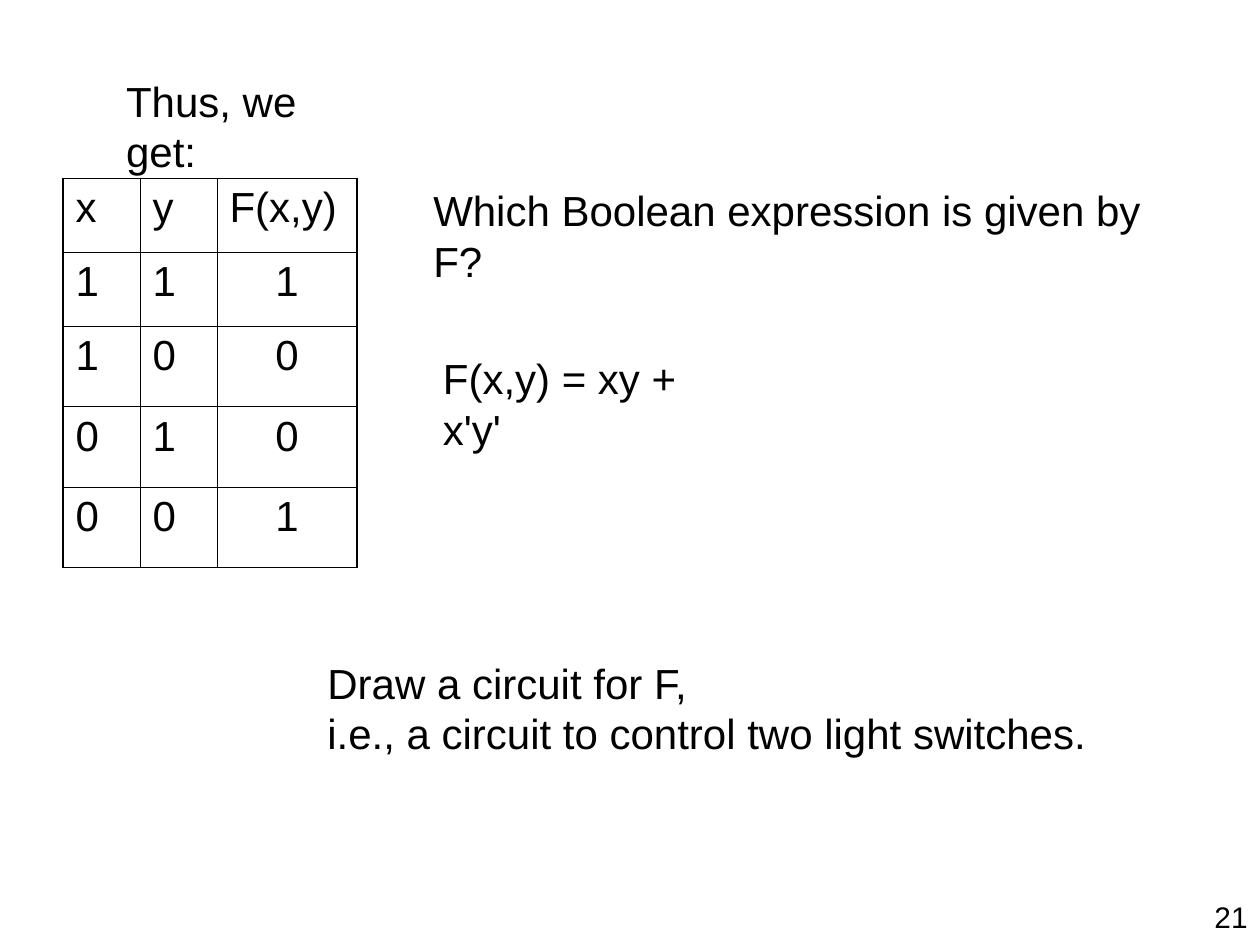
from lxml.etree import SubElement as Sub
from pptx import Presentation
from pptx.dml.color import RGBColor as Rgb
from pptx.enum.text import MSO_AUTO_SIZE as Auto, PP_ALIGN as Align
from pptx.oxml.ns import qn
from pptx.util import Pt

INK = {"text": "000000", "line": "000000"}


def write(frame, text, size=24, align=Align.LEFT):
    frame.text = text
    for para in frame.paragraphs:
        para.alignment = align
        para.font.size = Pt(size)
        para.font.name = "Arial"
        para.font.color.rgb = Rgb.from_string(INK["text"])


def edge(cell, side, width):
    line = Sub(cell._tc.get_or_add_tcPr(), qn(f"a:ln{side}"), w=str(Pt(width)))
    fill = Sub(line, qn("a:solidFill"))
    Sub(fill, qn("a:srgbClr"), val=INK["line"])


deck = Presentation()
deck.slide_width, deck.slide_height = Pt(720), Pt(540)
slide = deck.slides.add_slide(deck.slide_layouts[6])

page = slide.shapes.add_textbox(Pt(552), Pt(510), Pt(168), Pt(30))
page.text_frame.word_wrap = True
write(page.text_frame, "21", size=17, align=Align.RIGHT)

notes = [
    ("Thus, we get:", 65, 39.5, 158, 36),
    ("Which Boolean expression is given by F?", 240.5, 102, 453, 36),
    ("Draw a circuit for F,\ni.e., a circuit to control two light switches.", 180, 372, 448, 65),
    ("F(x,y) = xy + x'y'", 246, 198, 187, 36),
]
for text, left, top, width, height in notes:
    box = slide.shapes.add_textbox(Pt(left), Pt(top), Pt(width), Pt(height))
    box.text_frame.word_wrap = False
    box.text_frame.auto_size = Auto.SHAPE_TO_FIT_TEXT
    write(box.text_frame, text)

rows = [("x", "y", "F(x,y)")]
rows += [(x, y, int(x == y)) for x in (1, 0) for y in (1, 0)]
wide = [44, 44, 80]
tall = [42.3, 42.3, 45.9, 45.9, 45.9]
grid = slide.shapes.add_table(
    len(tall), len(wide), Pt(36), Pt(102), Pt(sum(wide)), Pt(sum(tall))
).table
grid.first_row = grid.horz_banding = False
for col, width in zip(grid.columns, wide):
    col.width = Pt(width)
for row, height in zip(grid.rows, tall):
    row.height = Pt(height)

for i, row in enumerate(rows):
    for j, value in enumerate(row):
        cell = grid.cell(i, j)
        mid = i > 0 and j == 2
        write(cell.text_frame, str(value), align=Align.CENTER if mid else Align.LEFT)
        outer = {"L": j == 0, "R": j == 2, "T": i == 0, "B": i == 4}
        for side, bold in outer.items():
            edge(cell, side, 1.08 if bold else 0.45)
        cell.fill.background()

deck.save("out.pptx")
